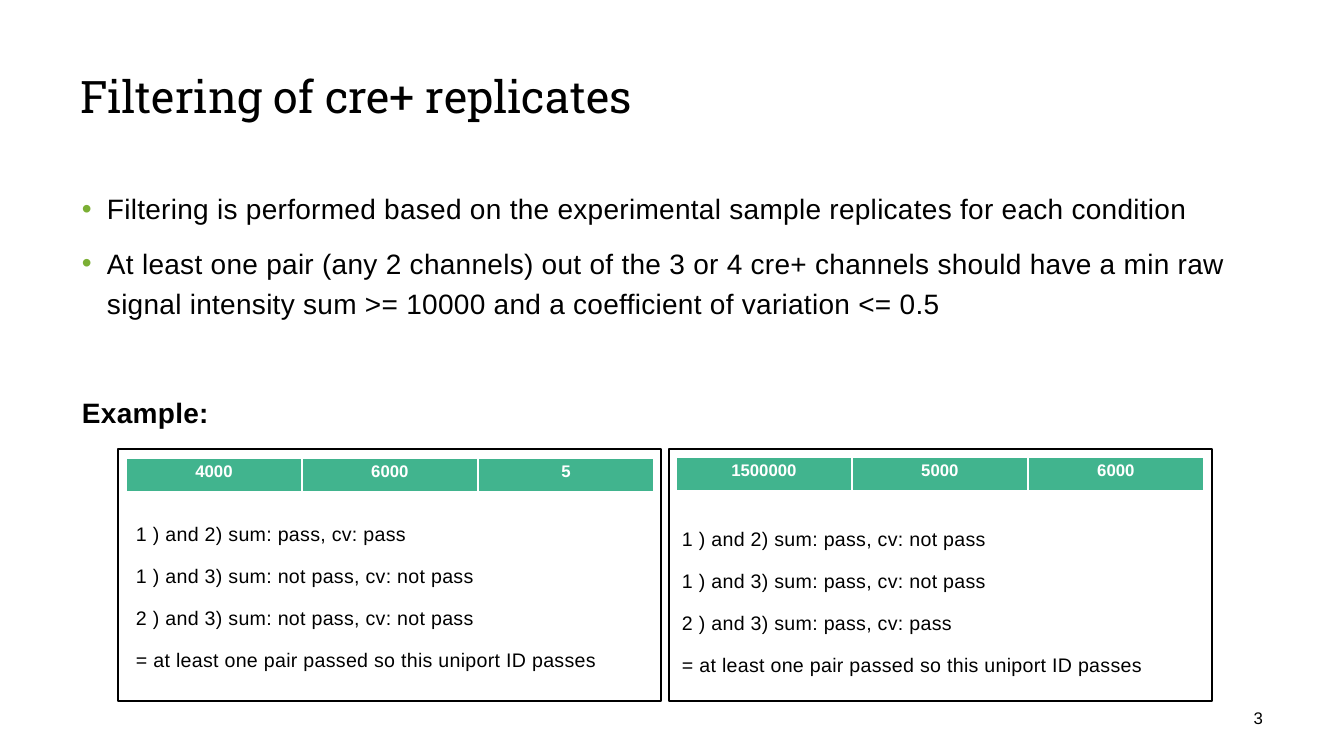
from dataclasses import dataclass

from lxml.etree import SubElement
from pptx import Presentation
from pptx.dml.color import RGBColor
from pptx.enum.shapes import MSO_SHAPE
from pptx.enum.text import MSO_ANCHOR, PP_ALIGN
from pptx.oxml.ns import qn
from pptx.util import Pt

EMU_PER_PX = 12192000 / 1344


def px(length):
    """Turn whole pixels into EMU."""
    return round(length * EMU_PER_PX)


def style(target, formats):
    """Set each named attribute on the target."""
    for name, value in formats.items():
        setattr(target, name, value)


@dataclass(frozen=True)
class Theme:
    """Colours, fonts and type sizes of the deck."""

    ink: str = "000000"
    paper: str = "FFFFFF"
    bullet: str = "7BAF34"
    header: str = "41B48E"
    heading_font: str = "Roboto Slab"
    body_font: str = "Arial"
    title_size: int = 32
    body_size: int = 20
    note_size: int = 14
    small_size: int = 12
    line_spacing: float = 1.2
    para_gap: int = 10
    tracking: int = 20


class SlideBuilder:
    """Draws styled elements on the current page."""

    def __init__(self, page, theme):
        """Keep the page and its theme."""
        self.page = page
        self.theme = theme

    def add_span(self, para, text, size, color=None, font=None, bold=False, tracking=0):
        """Add one formatted span to a paragraph."""
        span = para.add_run()
        span.text = text
        style(span.font, {"name": font or self.theme.body_font, "size": Pt(size), "bold": bold})
        span.font.color.rgb = RGBColor.from_string(color or self.theme.ink)
        if tracking:
            span.font._element.set("spc", str(tracking))

    def frame_box(self, area, margins=(0, 0, 0, 0), anchor=MSO_ANCHOR.TOP):
        """Add an empty wrapping text box and return its text frame."""
        frame = self.page.shapes.add_textbox(*map(px, area)).text_frame
        left, top, right, bottom = map(px, margins)
        style(frame, {
            "word_wrap": True, "vertical_anchor": anchor,
            "margin_left": left, "margin_top": top,
            "margin_right": right, "margin_bottom": bottom,
        })
        return frame

    def title(self, text, area):
        """Add the slide title."""
        para = self.frame_box(area).paragraphs[0]
        self.add_span(para, text, self.theme.title_size, font=self.theme.heading_font)

    def bullet(self, para):
        """Give a paragraph a coloured bullet with a hanging indent."""
        properties = para._p.get_or_add_pPr()
        properties.set("marL", str(px(25)))
        properties.set("indent", str(px(-25)))
        color = SubElement(properties, qn("a:buClr"))
        SubElement(color, qn("a:srgbClr"), val=self.theme.bullet)
        SubElement(properties, qn("a:buFont"), typeface="Arial")
        SubElement(properties, qn("a:buChar"), char="•")

    def paragraphs(self, frame, lines, size, bulleted=False):
        """Fill a text frame with evenly spaced paragraphs."""
        for index, line in enumerate(lines):
            para = frame.paragraphs[0] if index == 0 else frame.add_paragraph()
            para.line_spacing = self.theme.line_spacing
            if index:
                para.space_before = Pt(self.theme.para_gap)
            if bulleted:
                self.bullet(para)
            self.add_span(para, line, size, tracking=self.theme.tracking)

    def body(self, bullets, label, area):
        """Add the bullet list and the bold label below it."""
        frame = self.frame_box(area)
        self.paragraphs(frame, bullets, self.theme.body_size, bulleted=True)
        para = frame.add_paragraph()
        style(para, {"line_spacing": self.theme.line_spacing, "space_before": Pt(49)})
        self.add_span(para, label, self.theme.body_size, bold=True, tracking=self.theme.tracking)

    def notes(self, lines, area):
        """Add the verdict lines of an example."""
        self.paragraphs(self.frame_box(area, (10, 5, 10, 5)), lines, self.theme.note_size)

    def borders(self, cell):
        """Draw white cell edges with a thick bottom one."""
        properties = cell._tc.get_or_add_tcPr()
        for side, width in {"L": 1, "R": 1, "T": 1, "B": 3}.items():
            edge = SubElement(properties, qn(f"a:ln{side}"), w=str(int(Pt(width))))
            fill = SubElement(edge, qn("a:solidFill"))
            SubElement(fill, qn("a:srgbClr"), val=self.theme.paper)

    def table(self, values, left, top, column_width=176, height=35):
        """Add a one-row table of channel intensities."""
        area = (left, top, column_width * len(values), height)
        table = self.page.shapes.add_table(1, len(values), *map(px, area)).table
        table.horz_banding = False
        for cell, value in zip(table.rows[0].cells, values):
            style(cell, {
                "margin_left": px(7), "margin_right": px(7),
                "margin_top": 0, "margin_bottom": 0,
            })
            self.borders(cell)
            cell.fill.solid()
            cell.fill.fore_color.rgb = RGBColor.from_string(self.theme.header)
            para = cell.text_frame.paragraphs[0]
            style(para, {"alignment": PP_ALIGN.CENTER, "line_spacing": self.theme.line_spacing})
            self.add_span(para, value, self.theme.small_size, self.theme.paper, bold=True)

    def outline(self, area):
        """Add an unfilled rectangle around an example."""
        shape = self.page.shapes.add_shape(MSO_SHAPE.RECTANGLE, *map(px, area))
        shape.shadow.inherit = False
        shape.fill.background()
        shape.line.color.rgb = RGBColor.from_string(self.theme.ink)
        shape.line.width = Pt(1)

    def page_number(self, text, area):
        """Add the page number at the lower right."""
        para = self.frame_box(area, (0, 20, 0, 20), MSO_ANCHOR.MIDDLE).paragraphs[0]
        style(para, {"alignment": PP_ALIGN.RIGHT, "line_spacing": self.theme.line_spacing})
        self.add_span(para, text, self.theme.small_size, tracking=self.theme.tracking)


def main():
    """Build the slide and save the deck."""
    deck = Presentation()
    style(deck, {"slide_width": px(1344), "slide_height": px(756)})
    builder = SlideBuilder(deck.slides.add_slide(deck.slide_layouts[6]), Theme())

    builder.title("Filtering of cre+ replicates", (80, 69, 1182, 90))
    builder.body([
        "Filtering is performed based on the experimental sample replicates for each condition",
        "At least one pair (any 2 channels) out of the 3 or 4 cre+ channels should have a min raw "
        "signal intensity sum >= 10000 and a coefficient of variation <= 0.5",
    ], "Example:", (82, 185, 1219, 250))

    pairs = ("1 ) and 2)", "1 ) and 3)", "2 ) and 3)")
    conclusion = "= at least one pair passed so this uniport ID passes"
    examples = [
        (("4000", "6000", "5"), (126, 458), (126, 512),
         ("sum: pass, cv: pass", "sum: not pass, cv: not pass", "sum: not pass, cv: not pass")),
        (("1500000", "5000", "6000"), (676, 457), (672, 517),
         ("sum: pass, cv: not pass", "sum: pass, cv: not pass", "sum: pass, cv: pass")),
    ]
    for index, (channels, table_corner, notes_corner, verdicts) in enumerate(examples):
        builder.table(channels, *table_corner)
        lines = [f"{pair} {verdict}" for pair, verdict in zip(pairs, verdicts)]
        builder.notes([*lines, conclusion], (*notes_corner, 527, 164))
        builder.outline((118 + 551 * index, 449, 543, 252))

    builder.page_number("3", (1132, 676, 131, 80))
    deck.save("out.pptx")


if __name__ == "__main__":
    main()
